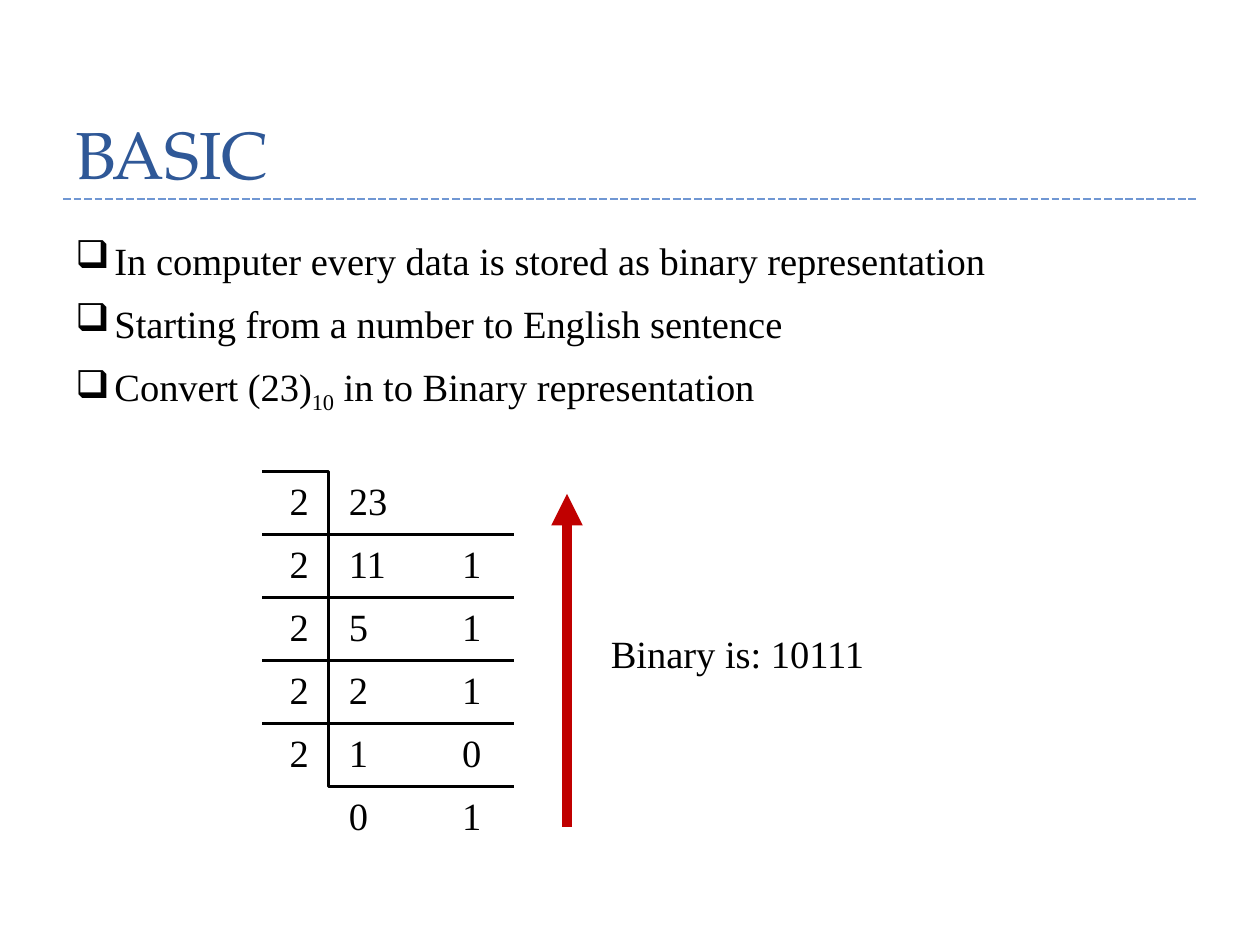
from lxml import etree
from pptx import Presentation
from pptx import util as u
from pptx.dml.color import RGBColor
from pptx.enum import dml, shapes, text
from pptx.oxml.ns import qn

COLORS = {"title": "2F5897", "rule": "7097D3", "ink": "000000", "arrow": "C00000"}
ROW = 0.5
LINE_HEIGHT = 0.47
LEFT = 0.5
FIRST_POINT = 1.83
LADDER_TOP = 3.74
LADDER_LEFT, LADDER_WIDTH = 2.08, 4 * ROW
COLUMNS = (2.2, 2.67, 3.57)
DIVISION = [
    ("2", "23", ""),
    ("2", "11", "1"),
    ("2", "5", "1"),
    ("2", "2", "1"),
    ("2", "1", "0"),
    ("", "0", "1"),
]
POINTS = [
    [("In computer every data is stored as binary representation", 0)],
    [("Starting from a number to English sentence", 0)],
    [("Convert (23)", 0), ("10", -25000), (" in to Binary representation", 0)],
]
POINT_WIDTHS = (7.51, 5.88, 5.69)
BODY = {"name": "Times New Roman", "size": u.Pt(22)}
HEADING = {"name": "TeX Gyre Pagella", "size": u.Pt(38)}


def apply(target, values):
    for key, value in values.items():
        setattr(target, key, value)


def rgb(role):
    return RGBColor.from_string(COLORS[role])


def add_text(slide, box, runs, style=BODY, role="ink", bullet=None, **frame_values):
    label = slide.shapes.add_textbox(*map(u.Inches, box))
    frame = label.text_frame
    apply(frame, {"word_wrap": False,
                  "auto_size": text.MSO_AUTO_SIZE.SHAPE_TO_FIT_TEXT, **frame_values})
    paragraph = frame.paragraphs[0]
    if bullet:
        props = paragraph._p.get_or_add_pPr()
        indent = u.Inches(0.31)
        props.set("marL", str(indent))
        props.set("indent", str(-indent))
        etree.SubElement(props, qn("a:buChar"), char=bullet)
    for words, baseline in runs:
        run = paragraph.add_run()
        run.text = words
        apply(run.font, style)
        run.font.color.rgb = rgb(role)
        if baseline:
            run.font._element.set("baseline", str(baseline))
    return paragraph


def add_line(slide, start, end, role, width, kind=shapes.MSO_CONNECTOR.STRAIGHT):
    line = slide.shapes.add_connector(kind, *map(u.Inches, start + end))
    apply(line.line, {"width": u.Pt(width)})
    line.line.color.rgb = rgb(role)
    etree.SubElement(line._element.spPr, qn("a:effectLst"))
    return line


def add_step(slide, top):
    step = add_line(slide, (LADDER_LEFT, top), (LADDER_LEFT + LADDER_WIDTH, top + ROW),
                    "ink", 1.5, shapes.MSO_CONNECTOR.ELBOW)
    guides = step._element.spPr.find(qn("a:prstGeom")).get_or_add_avLst()
    etree.SubElement(guides, qn("a:gd"), name="adj1", fmla="val 26500")


def add_heading(slide):
    rule = add_line(slide, (LEFT, 1.58), (10 - LEFT, 1.58), "rule", 1.5)
    rule.line.dash_style = dml.MSO_LINE.SQUARE_DOT
    heading = add_text(slide, (LEFT, -0.17, 9, 1.75), [("BASIC", 0)], HEADING, "title",
                       word_wrap=True, auto_size=text.MSO_AUTO_SIZE.NONE,
                       vertical_anchor=text.MSO_ANCHOR.BOTTOM)
    heading.line_spacing = u.Pt(58)


def add_points(slide):
    for row, (runs, width) in enumerate(zip(POINTS, POINT_WIDTHS)):
        add_text(slide, (LEFT, FIRST_POINT + row * ROW, width, LINE_HEIGHT), runs, bullet="❑")


def add_division(slide):
    for row, digits in enumerate(DIVISION):
        top = LADDER_TOP + row * ROW
        if digits[0]:
            add_step(slide, top)
        for left, number in zip(COLUMNS, digits):
            if number:
                width = 0.2 + 0.155 * len(number)
                add_text(slide, (left, top, width, LINE_HEIGHT), [(number, 0)])


def add_result(slide):
    arrow = add_line(slide, (4.5, 6.56), (4.5, 3.92), "arrow", 6)
    etree.SubElement(arrow.line._get_or_add_ln(), qn("a:tailEnd"), type="triangle")
    add_text(slide, (4.75, 4.95, 2.24, LINE_HEIGHT), [("Binary is: 10111", 0)])


def main():
    deck = Presentation()
    apply(deck, {"slide_width": u.Inches(10), "slide_height": u.Inches(7.5)})
    slide = deck.slides.add_slide(deck.slide_layouts[6])
    add_heading(slide)
    add_points(slide)
    add_division(slide)
    add_result(slide)
    deck.save("out.pptx")


if __name__ == "__main__":
    main()
